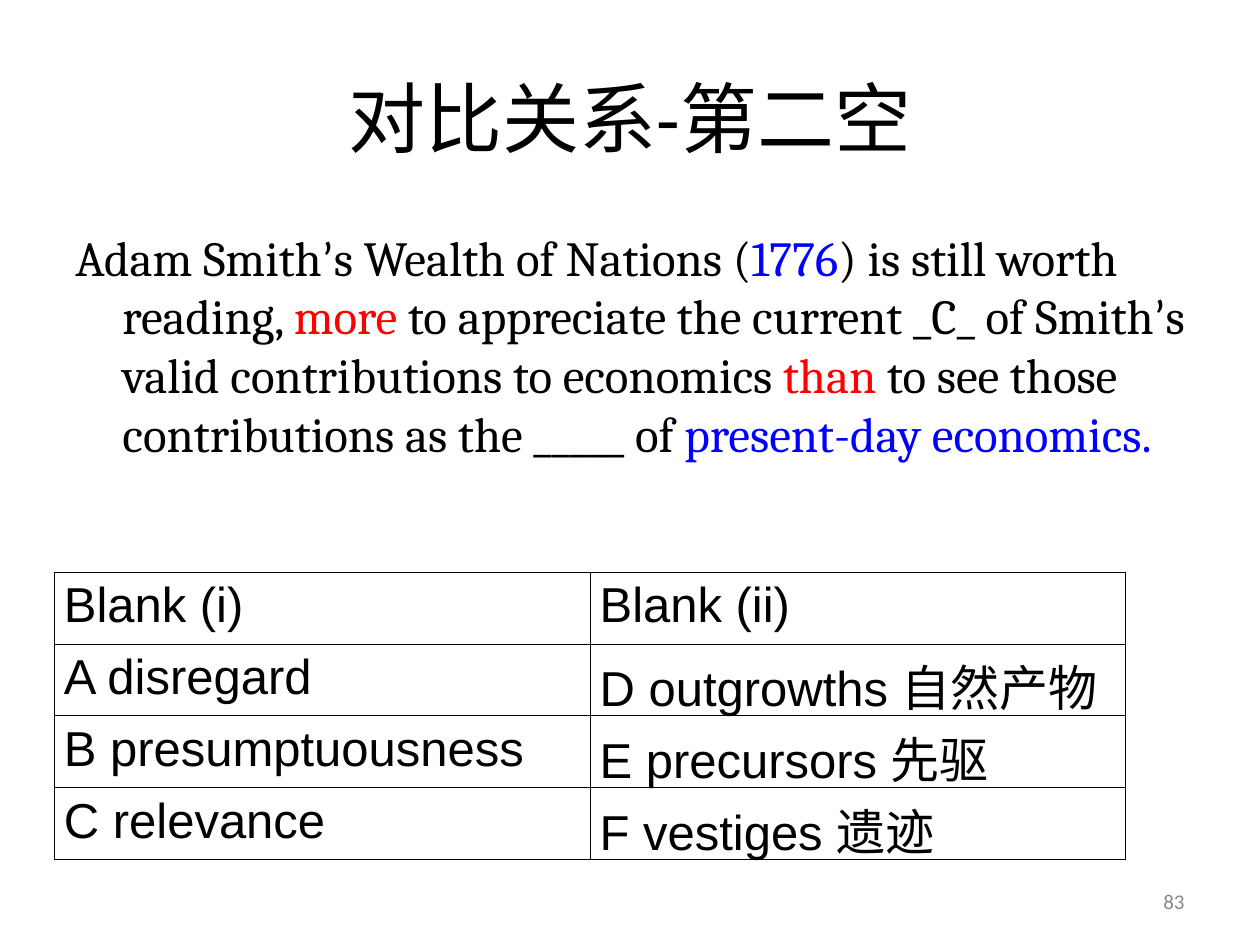
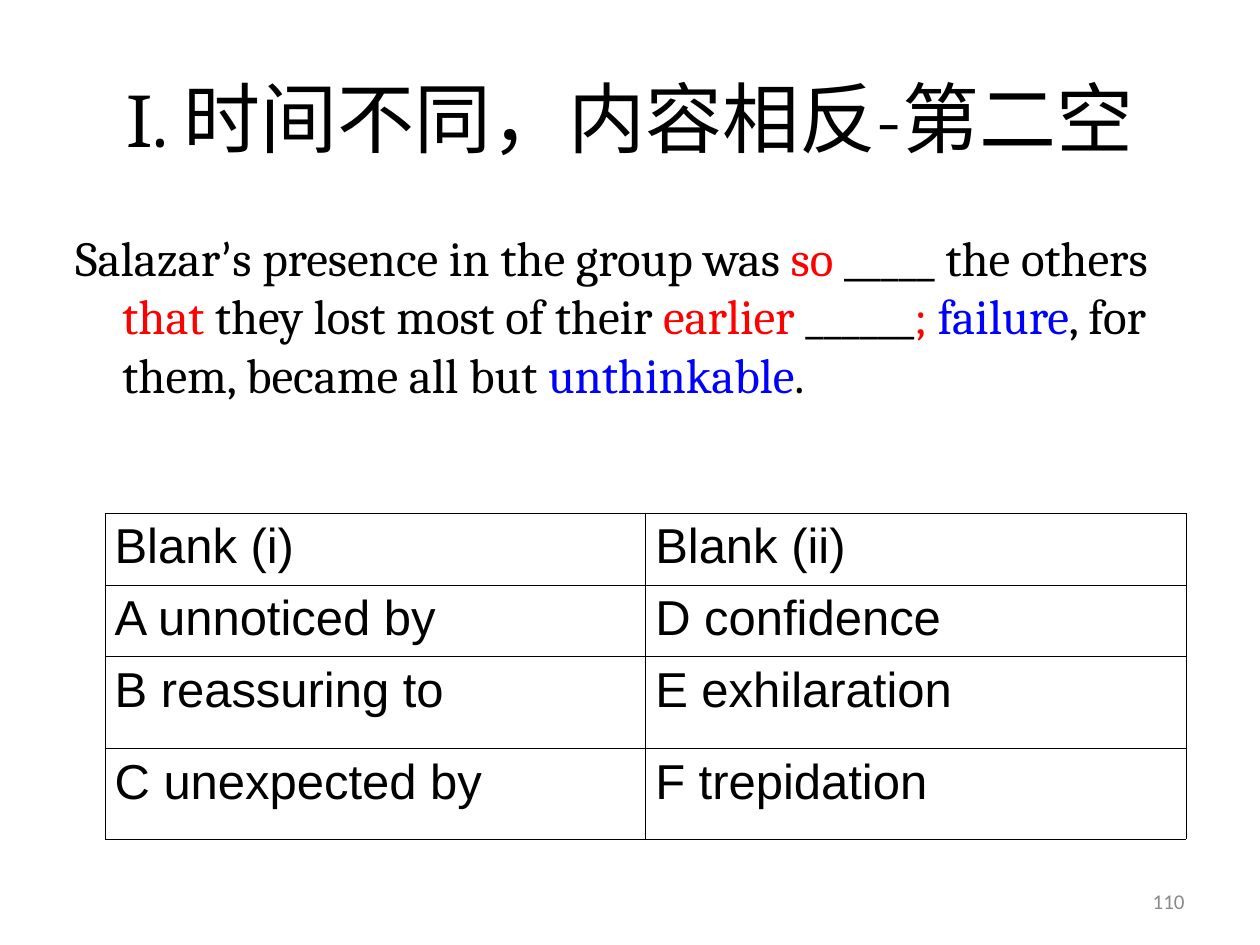
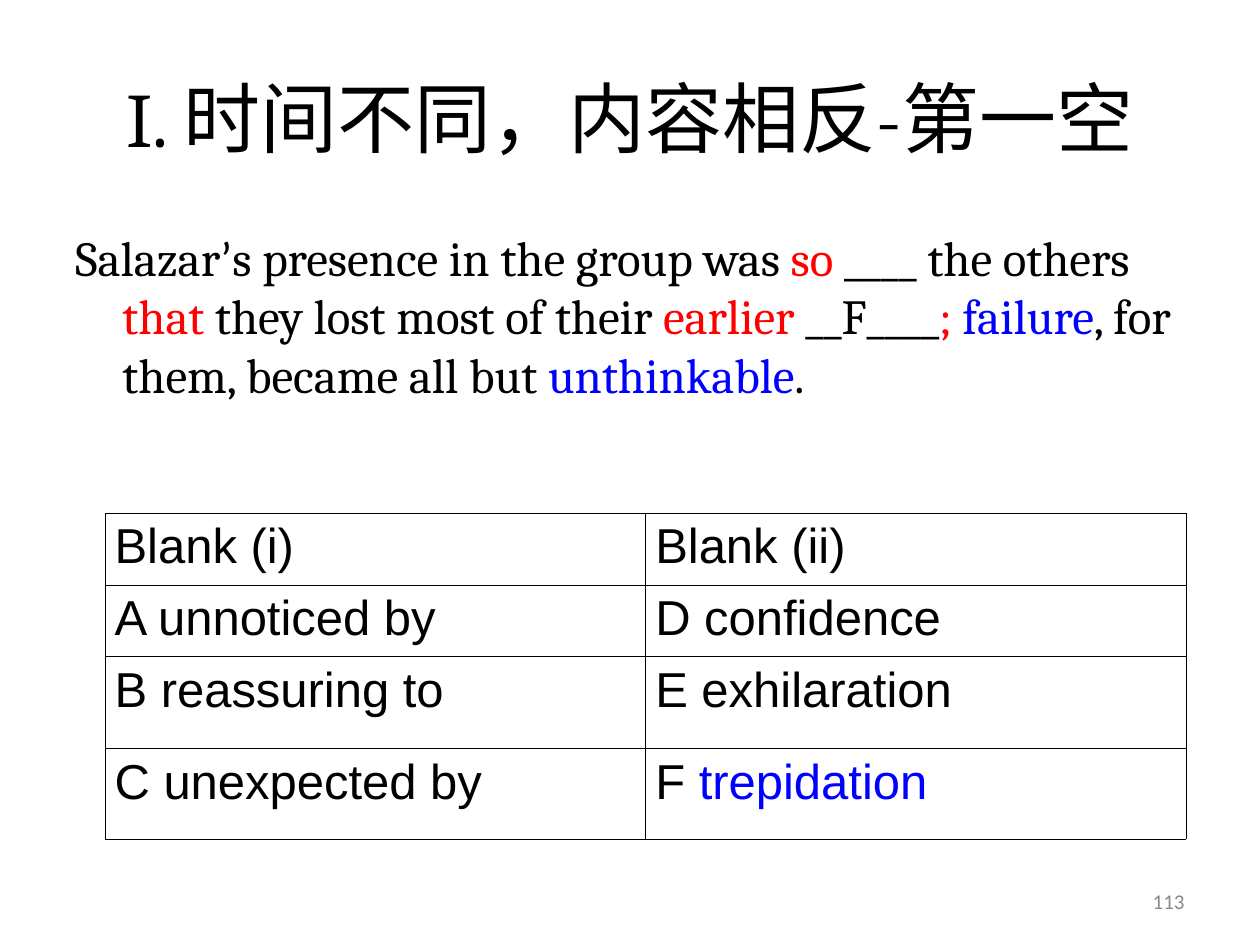
import pptx
import pptx.dml.color
import pptx.enum.text
import pptx.oxml
import pptx.oxml.ns
import pptx.util

Cm, Pt = pptx.util.Cm, pptx.util.Pt
ALIGN = pptx.enum.text.PP_ALIGN
ANCHOR = pptx.enum.text.MSO_ANCHOR

# Shared look
BLACK, RED, BLUE, GREY = "000000", "FF0000", "0000FF", "898989"
NUMBER_FONT = {"name": "Calibri", "size": Pt(12)}
BODY_FONT = {"name": "Cambria", "size": Pt(28)}
APOSTROPHE_FONT = {"name": "Calibri", "size": Pt(28)}
CELL_FONT = {"name": "Arial", "size": Pt(28)}
BOX_FRAME = {"word_wrap": True, "margin_left": Cm(0.25), "margin_right": Cm(0.25),
             "margin_top": Cm(0.13), "margin_bottom": Cm(0.13)}
CELL_FRAME = {"margin_left": Cm(0.2), "margin_right": Cm(0.2),
              "margin_top": Cm(0.13), "margin_bottom": Cm(0.13),
              "vertical_anchor": ANCHOR.TOP}
HANGING_INDENT = Cm(0.95)
BORDER_WIDTH = Pt(0.11)


def rgb(colour):
    return pptx.dml.color.RGBColor.from_string(colour)


def apply(target, values):
    for name, value in values.items():
        setattr(target, name, value)


def add_span(para, text, font, colour=BLACK):
    span = para.add_run()
    span.text = text
    apply(span.font, font)
    span.font.color.rgb = rgb(colour)


def add_box(page, left, top, width, height, align, anchor):
    """Add an empty text box and return its first paragraph."""
    box = page.shapes.add_textbox(Cm(left), Cm(top), Cm(width), Cm(height))
    apply(box.text_frame, {**BOX_FRAME, "vertical_anchor": anchor})
    para = box.text_frame.paragraphs[0]
    para.alignment = align
    return para


def add_page_number(page, number):
    para = add_box(page, 18.21, 17.65, 5.92, 1.02, ALIGN.RIGHT, ANCHOR.MIDDLE)
    add_span(para, str(number), NUMBER_FONT, GREY)


def add_title(page, text, font_name):
    para = add_box(page, 1.27, 0.76, 22.86, 3.18, ALIGN.CENTER, ANCHOR.MIDDLE)
    add_span(para, text, {"name": font_name, "size": Pt(44)})


def add_sentence(page, pieces):
    """Write (text, colour) pieces; apostrophes take their own font."""
    para = add_box(page, 1.27, 4.45, 23.44, 12.57, ALIGN.LEFT, ANCHOR.TOP)
    properties = para._p.get_or_add_pPr()
    properties.set("marL", str(HANGING_INDENT))
    properties.set("indent", str(-HANGING_INDENT))
    for text, colour in pieces:
        for part in text.partition("’"):
            if part:
                font = APOSTROPHE_FONT if part == "’" else BODY_FONT
                add_span(para, part, font, colour)


def add_borders(cell):
    properties = cell._tc.get_or_add_tcPr()
    for side in ("lnL", "lnR", "lnT", "lnB"):
        properties.append(pptx.oxml.parse_xml(
            f'<a:{side} {pptx.oxml.ns.nsdecls("a")} w="{BORDER_WIDTH}">'
            f'<a:solidFill><a:srgbClr val="{BLACK}"/></a:solidFill></a:{side}>'))


def add_choices(page, left, top, column_width, row_heights, rows, answer=None):
    """Add the table of choices; the word of the answer is blue."""
    columns = len(rows[0])
    table = page.shapes.add_table(
        len(rows), columns, Cm(left), Cm(top),
        Cm(column_width * columns), Cm(sum(row_heights))).table
    apply(table, {"first_row": False, "horz_banding": False})
    for column in table.columns:
        column.width = Cm(column_width)
    for row, height, texts in zip(table.rows, row_heights, rows):
        row.height = Cm(height)
        for cell, text in zip(row.cells, texts):
            apply(cell, CELL_FRAME)
            add_borders(cell)
            cell.fill.background()
            para = cell.text_frame.paragraphs[0]
            para.alignment = ALIGN.JUSTIFY
            if text == answer:
                letter, word = text.split(" ", 1)
                add_span(para, letter + " ", CELL_FONT)
                add_span(para, word, CELL_FONT, BLUE)
            else:
                add_span(para, text, CELL_FONT)


# Content
HEADINGS = ("Blank (i)", "Blank (ii)")
SMITH_SENTENCE = [
    ("Adam Smith’s Wealth of Nations (", BLACK), ("1776", BLUE),
    (") is still worth reading, ", BLACK), ("more", RED),
    (" to appreciate the current _C_ of Smith’s valid contributions to economics ", BLACK),
    ("than", RED), (" to see those contributions as the _____ of", BLACK),
    (" present-day economics.", BLUE)]
SMITH_CHOICES = [HEADINGS, ("A disregard", "D outgrowths 自然产物"),
                 ("B presumptuousness", "E precursors 先驱"),
                 ("C relevance", "F vestiges 遗迹")]
SALAZAR_CHOICES = [HEADINGS, ("A unnoticed by", "D confidence"),
                   ("B reassuring to", "E exhilaration"),
                   ("C unexpected by", "F trepidation")]
# Page number, blank in the title, first blank, second blank, answer
SALAZAR_PAGES = [(110, "第二空", "_____", "______", None),
                 (113, "第一空", "____", "__F____", "F trepidation")]


def salazar_sentence(first_blank, second_blank):
    return [("Salazar’s presence in the group was", BLACK), (" so ", RED),
            (f"{first_blank} the others", BLACK), (" that", RED),
            (" they lost most of their ", BLACK), ("earlier", RED),
            (f" {second_blank}", BLACK), ("; ", RED), ("failure", BLUE),
            (", for them, became all but ", BLACK), ("unthinkable", BLUE),
            (".", BLACK)]


def add_page(deck, number, title, title_font, sentence):
    page = deck.slides.add_slide(deck.slide_layouts[6])
    add_page_number(page, number)
    add_sentence(page, sentence)
    add_title(page, title, title_font)
    return page


def main():
    deck = pptx.Presentation()
    apply(deck, {"slide_width": Cm(25.4), "slide_height": Cm(19.05)})

    # Contrast question
    page = add_page(deck, 83, "对比关系-第二空", "Calibri", SMITH_SENTENCE)
    add_choices(page, 1.09, 11.53, 10.8, [1.19] * 4, SMITH_CHOICES)

    # Question on different times, in two steps
    for number, blank, first_blank, second_blank, answer in SALAZAR_PAGES:
        page = add_page(deck, number, f"I. 时间不同，内容相反-{blank}", "Cambria",
                        salazar_sentence(first_blank, second_blank))
        add_choices(page, 2.11, 10.34, 10.9, [1.19, 1.22, 1.85, 1.83],
                    SALAZAR_CHOICES, answer)

    deck.save("out.pptx")


if __name__ == "__main__":
    main()
